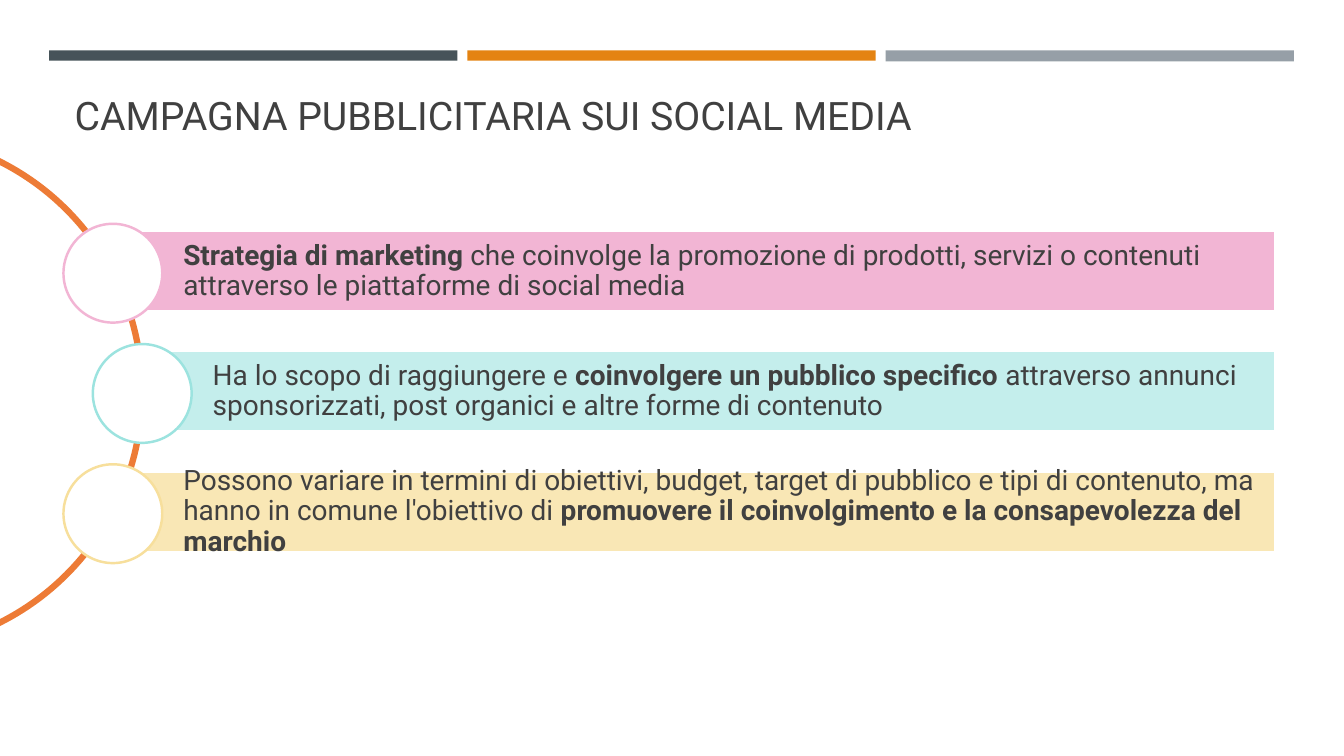
"""Build a slide on social media campaigns: three strips beside an arc."""
import pptx
import pptx.dml.color
import pptx.enum.shapes
import pptx.enum.text
import pptx.util

Cm, Pt = pptx.util.Cm, pptx.util.Pt
KIND = pptx.enum.shapes.MSO_SHAPE
ANCHOR = pptx.enum.text.MSO_ANCHOR

TITLE = "CAMPAGNA PUBBLICITARIA SUI SOCIAL MEDIA"
BANDS = [("465359", 0.26), ("E48312", 0.26), ("969FA7", 0.28)]
ITEMS = [
    {"indent": 0, "fill": "F2B5D4", "ring": "F2B5D4", "text": [
        ("Strategia di marketing ", True),
        ("che coinvolge la promozione di prodotti, servizi o contenuti "
         "attraverso le piattaforme di social media", False)]},
    {"indent": 0.74, "fill": "C4EEEC", "ring": "9CE3DF", "text": [
        ("Ha lo scopo di raggiungere e ", False),
        ("coinvolgere un pubblico specifico ", True),
        ("attraverso annunci sponsorizzati, post organici e altre forme "
         "di contenuto", False)]},
    {"indent": 0, "fill": "F9E7B5", "ring": "F7DF9C", "text": [
        ("Possono variare in termini di obiettivi, budget, target di pubblico "
         "e tipi di contenuto, ma hanno in comune l'obiettivo di ", False),
        ("promuovere il coinvolgimento e la consapevolezza del marchio", True)]},
]
BAND = {"left": 1.24, "top": 1.27, "width": 10.29, "step": 10.54}
BAR = {"left": 3.02, "right": 32.13, "top": 5.82, "height": 2.03, "step": 3.03}
DOT = {"left": 1.6, "size": 2.49, "rise": 0.18}
ARC = (-9.42, 3.38, 13, 13)
FONT = {"name": "Roboto"}
FRAME = {"word_wrap": True, "vertical_anchor": ANCHOR.MIDDLE,
         "margin_left": Cm(1.6), "margin_right": Cm(0.15),
         "margin_top": Cm(0.15), "margin_bottom": Cm(0.15)}


def color(code):
    return pptx.dml.color.RGBColor.from_string(code)


def apply(target, values):
    for key, value in values.items():
        setattr(target, key, value)


def draw(slide, kind, box, fill=None, line=None, weight=1.75):
    shape = slide.shapes.add_shape(kind, *map(Cm, box))
    shape.shadow.inherit = False
    if fill:
        shape.fill.solid()
        shape.fill.fore_color.rgb = color(fill)
    else:
        shape.fill.background()
    if line:
        shape.line.color.rgb = color(line)
        shape.line.width = Pt(weight)
    else:
        shape.line.fill.background()
    return shape


def write(frame, parts, size, space=1.0):
    para = frame.paragraphs[0]
    apply(para, {"alignment": pptx.enum.text.PP_ALIGN.LEFT, "line_spacing": space})
    for text, bold in parts:
        run = para.add_run()
        run.text = text
        apply(run.font, {**FONT, "size": Pt(size), "bold": bold})
        run.font.color.rgb = color("404040")


def main():
    deck = pptx.Presentation()
    apply(deck, {"slide_width": Cm(33.87), "slide_height": Cm(19.05)})
    slide = deck.slides.add_slide(deck.slide_layouts[6])

    for i, (fill, height) in enumerate(BANDS):
        left = BAND["left"] + i * BAND["step"]
        draw(slide, KIND.RECTANGLE, (left, BAND["top"], BAND["width"], height), fill)

    title = slide.shapes.add_textbox(*map(Cm, (1.63, 1.96, 30.63, 1.65))).text_frame
    apply(title, {"word_wrap": True, "vertical_anchor": ANCHOR.BOTTOM})
    write(title, [(TITLE, False)], 28)

    for i, item in enumerate(ITEMS):
        left = BAR["left"] + item["indent"]
        top = BAR["top"] + i * BAR["step"]
        box = (left, top, BAR["right"] - left, BAR["height"])
        bar = draw(slide, KIND.RECTANGLE, box, item["fill"], "FFFFFF")
        apply(bar.text_frame, FRAME)
        write(bar.text_frame, item["text"], 20, 0.9)

    draw(slide, KIND.OVAL, ARC, line="ED7B36", weight=4.5)
    for i, item in enumerate(ITEMS):
        top = BAR["top"] + i * BAR["step"] - DOT["rise"]
        box = (DOT["left"] + item["indent"], top, DOT["size"], DOT["size"])
        draw(slide, KIND.OVAL, box, "FFFFFF", item["ring"])

    deck.save("out.pptx")


if __name__ == "__main__":
    main()
